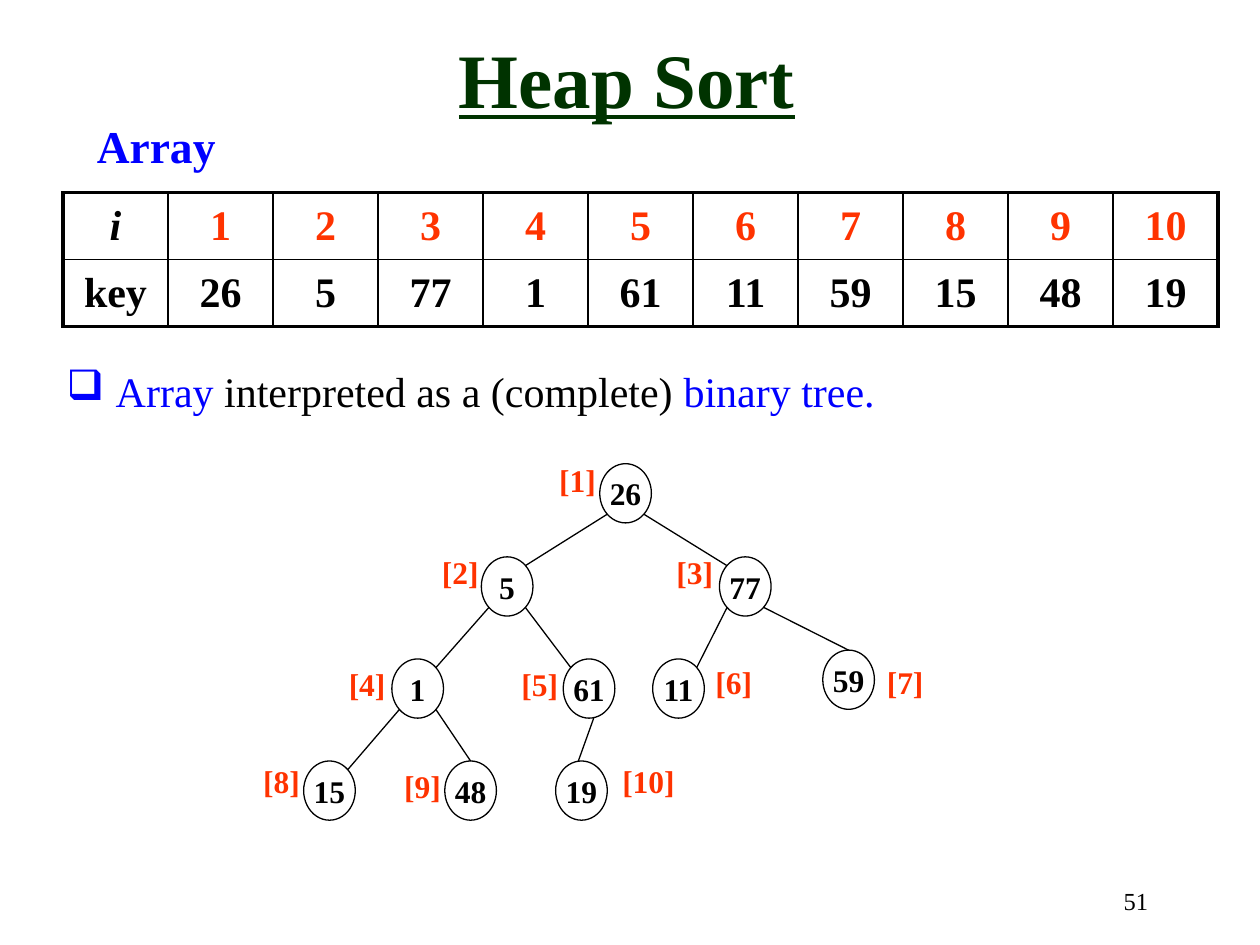
"""Build the heap sort slide: an array and its binary tree."""
from lxml.etree import SubElement
from pptx import Presentation
from pptx.dml.color import RGBColor
from pptx.enum.shapes import MSO_CONNECTOR, MSO_SHAPE
from pptx.enum.text import MSO_ANCHOR, PP_ALIGN
from pptx.oxml.ns import qn
from pptx.util import Inches, Pt

COLORS = {"ink": "000000", "index": "FF3300", "accent": "0000FF", "title": "003300"}
FONT = "Times New Roman"
WIDTH, HEIGHT = 10, 7.5

KEYS = [26, 5, 77, 1, 61, 11, 59, 15, 48, 19]
ROWS = [["i", *range(1, len(KEYS) + 1)], ["key", *KEYS]]
STATEMENT = [("Array", "accent"), (" interpreted as a (complete) ", "ink"),
             ("binary tree.", "accent")]

TREE_PERCENTAGES = [
    (47.6, 49.07, 43.4, 48.13),
    (38.2, 58.93, 34.1, 57.87),
    (57.1, 58.93, 52.7, 57.87),
    (31.1, 69.73, 26.7, 69.73),
    (44.7, 69.73, 40.4, 69.73),
    (51.8, 69.73, 55.8, 69.47),
    (65.3, 68.8, 69.4, 69.47),
    (24.1, 80.53, 19.9, 80),
    (35.3, 80.53, 31.1, 80.53),
    (44.1, 80.53, 48.4, 80),
]
NODE = (4.1, 6.27)
LEFT_EDGE = ((0.15, 0.85), (0.85, 0.15))
RIGHT_EDGE = ((0.85, 0.85), (0.15, 0.15))
TOP_EDGE = ((0.85, 0.85), (0.5, 0))
SPECIAL_EDGES = {7: TOP_EDGE, 9: TOP_EDGE, 10: ((0.59, 1), (0.44, 0))}


def across(percent):
    return Inches(WIDTH * percent / 100)


def down(percent):
    return Inches(HEIGHT * percent / 100)


def place(left, top, width, height):
    return across(left), down(top), across(width), down(height)


def write(frame, text, *, size=18, color="ink", bold=False, italic=False,
          underline=False, align=PP_ALIGN.LEFT, anchor=MSO_ANCHOR.TOP, wrap=False):
    frame.word_wrap = wrap
    frame.vertical_anchor = anchor
    para = frame.paragraphs[0]
    para.alignment = align
    for words, shade in [(text, color)] if isinstance(text, str) else text:
        span = para.add_run()
        span.text = words
        font = span.font
        font.name, font.size = FONT, Pt(size)
        font.bold, font.italic, font.underline = bold, italic, underline
        font.color.rgb = RGBColor.from_string(COLORS[shade])


def add_text(page, spot, text, **style):
    box = page.shapes.add_textbox(*place(*spot))
    write(box.text_frame, text, **style)
    return box


def set_border(cell, side, points):
    line = SubElement(cell._tc.get_or_add_tcPr(), qn(f"a:ln{side}"), w=str(Pt(points)))
    fill = SubElement(line, qn("a:solidFill"))
    SubElement(fill, qn("a:srgbClr"), val=COLORS["ink"])


def add_array(page):
    last_row, last_column = len(ROWS) - 1, len(ROWS[0]) - 1
    table = page.shapes.add_table(last_row + 1, last_column + 1,
                                  *place(5, 20.4, 91.7, 14.13)).table
    table.first_row = table.horz_banding = False
    for row, values in enumerate(ROWS):
        for column, value in enumerate(values):
            cell = table.cell(row, column)
            outer = {"L": column == 0, "R": column == last_column,
                     "T": row == 0, "B": row == last_row}
            for side, thick in outer.items():
                set_border(cell, side, 2.25 if thick else 1)
            cell.fill.background()
            cell.vertical_anchor = MSO_ANCHOR.MIDDLE
            write(cell.text_frame, str(value), size=24, bold=True, italic=value == "i",
                  color="index" if row == 0 and column else "ink",
                  align=PP_ALIGN.CENTER, anchor=MSO_ANCHOR.MIDDLE, wrap=True)


def add_node(page, index, key, spot):
    left, top, label_left, label_top = spot
    node = page.shapes.add_shape(MSO_SHAPE.OVAL, *place(left, top, *NODE))
    node.shadow.inherit = False
    node.fill.background()
    node.line.color.rgb = RGBColor.from_string(COLORS["ink"])
    node.line.width = Pt(0.75)
    write(node.text_frame, str(key), bold=True, align=PP_ALIGN.CENTER,
          anchor=MSO_ANCHOR.MIDDLE)
    add_text(page, (label_left, label_top, 5 if index < 10 else 6.2, 5.33),
             f"[{index}]", color="index", bold=True)


def node_point(index, share):
    left, top = TREE_PERCENTAGES[index - 1][:2]
    return across(left + share[0] * NODE[0]), down(top + share[1] * NODE[1])


def add_edge(page, child):
    usual = RIGHT_EDGE if child % 2 else LEFT_EDGE
    start, end = SPECIAL_EDGES.get(child, usual)
    edge = page.shapes.add_connector(MSO_CONNECTOR.STRAIGHT,
                                     *node_point(child // 2, start),
                                     *node_point(child, end))
    edge.line.color.rgb = RGBColor.from_string(COLORS["ink"])
    edge.line.width = Pt(0.75)
    SubElement(edge._element.spPr, qn("a:effectLst"))


def add_statement(page):
    box = add_text(page, (4.3, 36.93, 74.8, 8.8), STATEMENT, size=24,
                   anchor=MSO_ANCHOR.MIDDLE, wrap=True)
    settings = box.text_frame.paragraphs[0]._p.get_or_add_pPr()
    settings.set("marL", str(Inches(0.39)))
    settings.set("indent", str(-Inches(0.39)))
    SubElement(settings, qn("a:buChar"), char="❑")


def main():
    deck = Presentation()
    deck.slide_width, deck.slide_height = Inches(WIDTH), Inches(HEIGHT)
    page = deck.slides.add_slide(deck.slide_layouts[6])
    add_text(page, (71.3, 93.07, 20.8, 6.67), "51", size=14,
             align=PP_ALIGN.RIGHT, wrap=True)
    add_statement(page)
    for index, (key, spot) in enumerate(zip(KEYS, TREE_PERCENTAGES), start=1):
        add_node(page, index, key, spot)
    for child in range(2, len(KEYS) + 1):
        add_edge(page, child)
    add_text(page, (35.4, 2.67, 28.7, 11.07), "Heap Sort", size=44, color="title",
             bold=True, underline=True, align=PP_ALIGN.CENTER)
    add_text(page, (6.7, 11.87, 12.4, 7.07), "Array", size=26, color="accent", bold=True)
    add_array(page)
    deck.save("out.pptx")


if __name__ == "__main__":
    main()
